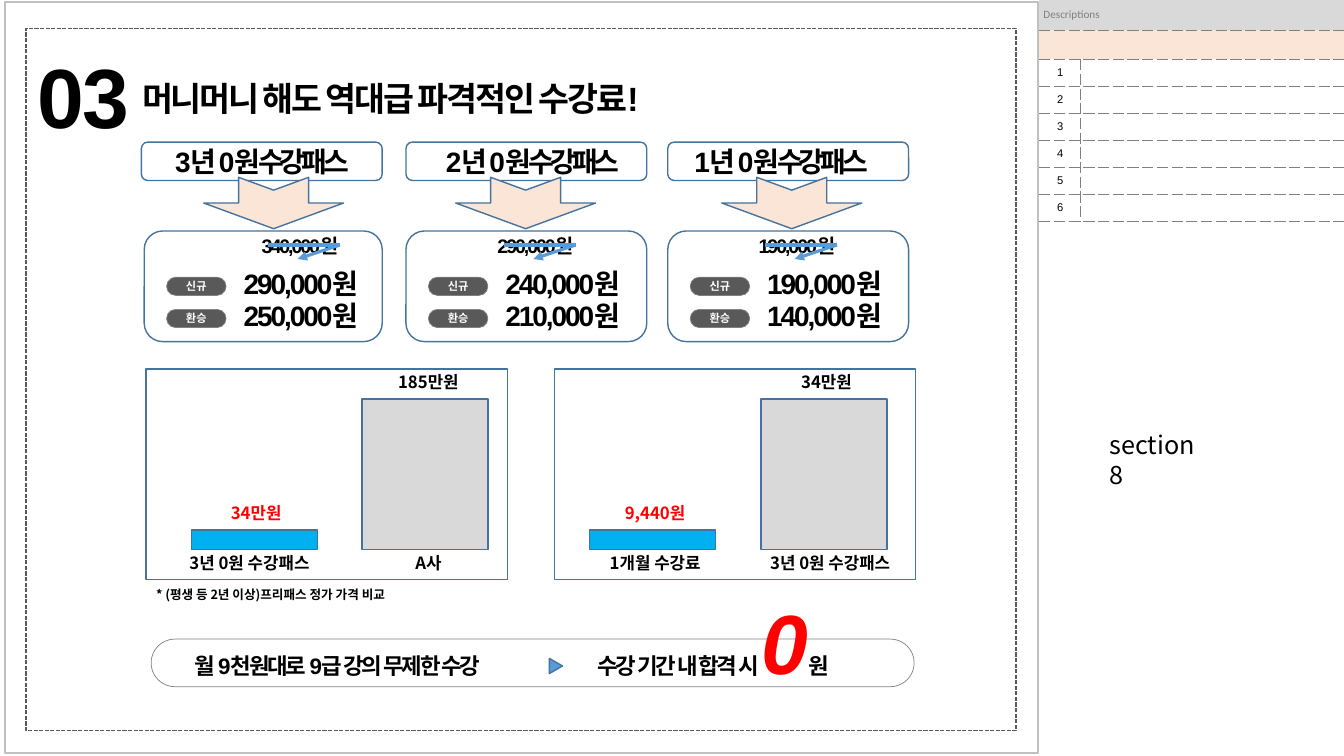
from lxml import etree
from pptx import Presentation
from pptx.dml.color import RGBColor
from pptx.enum.dml import MSO_LINE
from pptx.enum.shapes import MSO_CONNECTOR, MSO_SHAPE
from pptx.enum.text import MSO_ANCHOR, MSO_AUTO_SIZE, PP_ALIGN
from pptx.oxml.ns import qn
from pptx.util import Pt

RECT, ROUND = MSO_SHAPE.RECTANGLE, MSO_SHAPE.ROUNDED_RECTANGLE
TRIANGLE, ARROW = MSO_SHAPE.ISOSCELES_TRIANGLE, MSO_SHAPE.NOTCHED_RIGHT_ARROW
STRAIGHT, DASH = MSO_CONNECTOR.STRAIGHT, MSO_LINE.SQUARE_DOT
LEFT, CENTER = PP_ALIGN.LEFT, PP_ALIGN.CENTER
TOP, MIDDLE = MSO_ANCHOR.TOP, MSO_ANCHOR.MIDDLE
LATIN, KOREAN, LABEL = "Arial", "Noto Sans CJK KR", "Calibri"
NO_TABLE_STYLE = "{2D5ABB26-0587-4C30-8999-92F81FD0307C}"
COLORS = dict(black="000000", white="FFFFFF", red="FF0000", blue="5B9BD5",
              navy="43739E", cyan="00B0F0", peach="FBE5D6", dark="595959",
              gray="808080", silver="C0C0C0", light="D9D9D9", head="DAD9DA")


def rgb(name):
    return RGBColor.from_string(COLORS[name])


class Board:
    """Holds the slide and its style; every length is in points."""

    def __init__(self, slide):
        self.slide = slide
        self.shapes = slide.shapes

    def font(self, p, size, color="black", bold=True, name=LATIN, spc=0, align=LEFT):
        p.alignment = align
        f = p.font
        f.size, f.bold, f.name = Pt(size), bold, name
        f.color.rgb = rgb(color)
        rpr = p._p.get_or_add_pPr().get_or_add_defRPr()
        rpr.set("spc", str(round(spc * 100)))
        etree.SubElement(rpr, qn("a:ea")).set("typeface", KOREAN)

    def frame(self, s, wrap, anchor=TOP):
        tf = s.text_frame
        tf.word_wrap, tf.vertical_anchor = wrap, anchor
        tf.auto_size = MSO_AUTO_SIZE.NONE
        tf.margin_left = tf.margin_right = Pt(7.2)
        tf.margin_top = tf.margin_bottom = Pt(3.6)
        return tf.paragraphs[0]

    def title(self, x, y, w, h, text, size, **style):
        s = self.shapes.title
        s.left, s.top, s.width, s.height = Pt(x), Pt(y), Pt(w), Pt(h)
        p = self.frame(s, False)
        p.text = text
        self.font(p, size, **style)

    def text(self, x, y, w, h, text, size, wrap=True, **style):
        p = self.frame(self.shapes.add_textbox(Pt(x), Pt(y), Pt(w), Pt(h)), wrap)
        p.text = text
        self.font(p, size, **style)
        return p

    def centered(self, cx, y, w, h, text, size, **style):
        return self.text(cx - w / 2, y, w, h, text, size, align=CENTER, **style)

    def shape(self, kind, x, y, w, h, fill=None, line="navy", weight=1,
              dash=None, round_to=None, turn=0):
        s = self.shapes.add_shape(kind, Pt(x), Pt(y), Pt(w), Pt(h))
        s.shadow.inherit = False
        s.rotation = turn
        if round_to is not None:
            s.adjustments[0] = round_to
        if fill:
            s.fill.solid()
            s.fill.fore_color.rgb = rgb(fill)
        else:
            s.fill.background()
        s.line.color.rgb, s.line.width = rgb(line), Pt(weight)
        if dash:
            s.line.dash_style = dash
        return s

    def badge(self, x, y, text):
        s = self.shape(ROUND, x, y, 42.5, 13, "dark", "gray", 0.5, round_to=0.5)
        p = self.frame(s, False, MIDDLE)
        p.text = text
        self.font(p, 8, "white", align=CENTER)

    def line(self, x1, y1, x2, y2, arrow=False):
        s = self.shapes.add_connector(STRAIGHT, Pt(x1), Pt(y1), Pt(x2), Pt(y2))
        s.line.color.rgb, s.line.width = rgb("blue"), Pt(2.25)
        if arrow:
            etree.SubElement(s.line._get_or_add_ln(), qn("a:tailEnd")).set("type", "triangle")
        etree.SubElement(s._element.spPr, qn("a:effectLst"))

    def cell_borders(self, cell, sides):
        tcpr = cell._tc.get_or_add_tcPr()
        for i, side in enumerate(sides):
            ln = etree.Element(qn("a:ln" + side), w=str(Pt(0.25)))
            fill = etree.SubElement(ln, qn("a:solidFill"))
            etree.SubElement(fill, qn("a:srgbClr")).set("val", COLORS["gray"])
            etree.SubElement(ln, qn("a:prstDash")).set("val", "sysDash")
            tcpr.insert(i, ln)

    def descriptions(self, x, y, widths, heights):
        """Side table: a heading, a tinted row, then numbered rows."""
        s = self.shapes.add_table(len(heights), len(widths), Pt(x), Pt(y),
                                  Pt(sum(widths)), Pt(sum(heights)))
        table = s.table
        table._tbl.tblPr.find(qn("a:tableStyleId")).text = NO_TABLE_STYLE
        table.first_row = table.horz_banding = False
        for column, w in zip(table.columns, widths):
            column.width = Pt(w)
        for r, h in enumerate(heights):
            table.rows[r].height = Pt(h)
            for c in range(len(widths)):
                cell = table.cell(r, c)
                cell.vertical_anchor = MIDDLE
                cell.margin_left = Pt(3 if r == 0 else 0.7)
                cell.margin_right = 0
                cell.margin_top, cell.margin_bottom = Pt(2), Pt(2)
                p = cell.text_frame.paragraphs[0]
                p._p.get_or_add_endParaRPr().set("sz", "800")
                if r == 0 and c == 0:
                    p.text = "Descriptions"
                    self.font(p, 8, "gray", False, LABEL)
                elif r > 1 and c == 0:
                    p.text = str(r - 1)
                    self.font(p, 8, bold=False, align=CENTER)
                if r < 2:
                    cell.fill.solid()
                    cell.fill.fore_color.rgb = rgb(("head", "peach")[r])
                else:
                    cell.fill.background()
                self.cell_borders(cell, "LB" if r > 1 and c else "B")
        for r in range(2):
            table.cell(r, 0).merge(table.cell(r, 1))

    def plan(self, x, head_x, head_cx, arrow_cx, old_x, name, old, new, switch):
        """One pass: its name, an arrow and a card with old and new prices."""
        self.centered(head_cx, 100, 180, 31.7, name, 20, spc=-3)
        self.shape(ROUND, head_x, 101.5, 172, 27.4)
        self.shape(ROUND, x, 165, 172 - (x - head_x), 79)
        self.shape(ARROW, arrow_cx - 18.4, 95, 36.7, 100, "peach", turn=90)
        self.text(old_x, 163.4, 98.6, 24.5, old, 14, spc=-1.5, align=CENTER)
        end = old_x + 77.8
        self.line(old_x + 26.7, 175, end, 175)
        self.line(end, 175, end - 30.2, 185, arrow=True)
        for i, (tag, price) in enumerate((("신규", new), ("환승", switch))):
            self.centered(x + 112, 187 + 22.6 * i, 149, 31.7, price, 20, spc=-1.5)
            self.badge(x + 16, 198 + 23 * i, tag)

    def comparison(self, x, bars):
        self.shape(RECT, x, 263.5, 258, 150.5)
        for bar_x, h, fill, name, name_cx, value, value_cx, color in bars:
            y = 392.4 - h
            self.shape(RECT, bar_x, y, 90, h, fill)
            self.centered(name_cx, 391, 130, 21.6, name, 12, name=KOREAN)
            self.centered(value_cx, y - 23, 100, 21.6, value, 12, color=color, name=KOREAN)


def main():
    prs = Presentation()
    prs.slide_width, prs.slide_height = Pt(960), Pt(540)
    b = Board(prs.slides.add_slide(prs.slide_layouts[5]))

    b.shape(RECT, 3.6, 1.4, 738, 536.4, line="silver")
    b.shape(RECT, 18.7, 20.2, 707, 501.8, line="dark", dash=DASH)
    b.title(94.3, 52, 412.6, 36, "머니머니 해도 역대급 파격적인 수강료!", 24, spc=-1.5)
    b.centered(59.4, 28, 81.4, 80, "03", 60, wrap=False, spc=-1.5)

    for plan in (
        (103, 101, 187.2, 195.5, 165, "3년 0원 수강패스", "340,000원", "290,000원", "250,000원"),
        (290, 290, 380.5, 375.5, 333.4, "2년 0원 수강패스", "290,000원", "240,000원", "210,000원"),
        (477, 477, 558, 565.6, 520, "1년 0원 수강패스", "190,000원", "190,000원", "140,000원"),
    ):
        b.plan(*plan)

    b.comparison(104.4, (
        (136.8, 13.7, "cyan", "3년 0원 수강패스", 178.2, "34만원", 183, "red"),
        (258.5, 107.3, "light", "A사", 306, "185만원", 306, "black")))
    b.comparison(396, (
        (421.2, 13.7, "cyan", "1개월 수강료", 468, "9,440원", 468, "red"),
        (543.6, 107.3, "light", "3년 0원 수강패스", 593, "34만원", 590.4, "black")))
    b.text(104.4, 415.4, 213, 18, "* (평생 등 2년 이상)프리패스 정가 가격 비교", 9, name=KOREAN)

    b.shape(ROUND, 108, 456.5, 545, 34, "white", "gray", 0.5, round_to=0.5)
    b.text(108, 462.2, 266.4, 26.6, "월 9천원대로 9급 강의 무제한 수강", 16,
           spc=-1.5, align=CENTER)
    b.shape(TRIANGLE, 391.7, 471, 10.8, 9.4, "blue", turn=90)
    p = b.text(391, 418.3, 236.9, 80, "수강 기간 내 합격 시 ", 16, spc=-1.5, align=CENTER)
    zero = p.add_run()
    zero.text = "0"
    zero.font.size, zero.font.italic = Pt(60), True
    zero.font.color.rgb = rgb("red")
    p.add_run().text = "원"

    b.descriptions(742.3, 0, (29.5, 188), [21.2] * 2 + [19.3] * 6)
    b.text(785.5, 303, 82.8, 58, "section\v8", 18, wrap=False, bold=False, name=KOREAN)
    prs.save("out.pptx")


if __name__ == "__main__":
    main()
